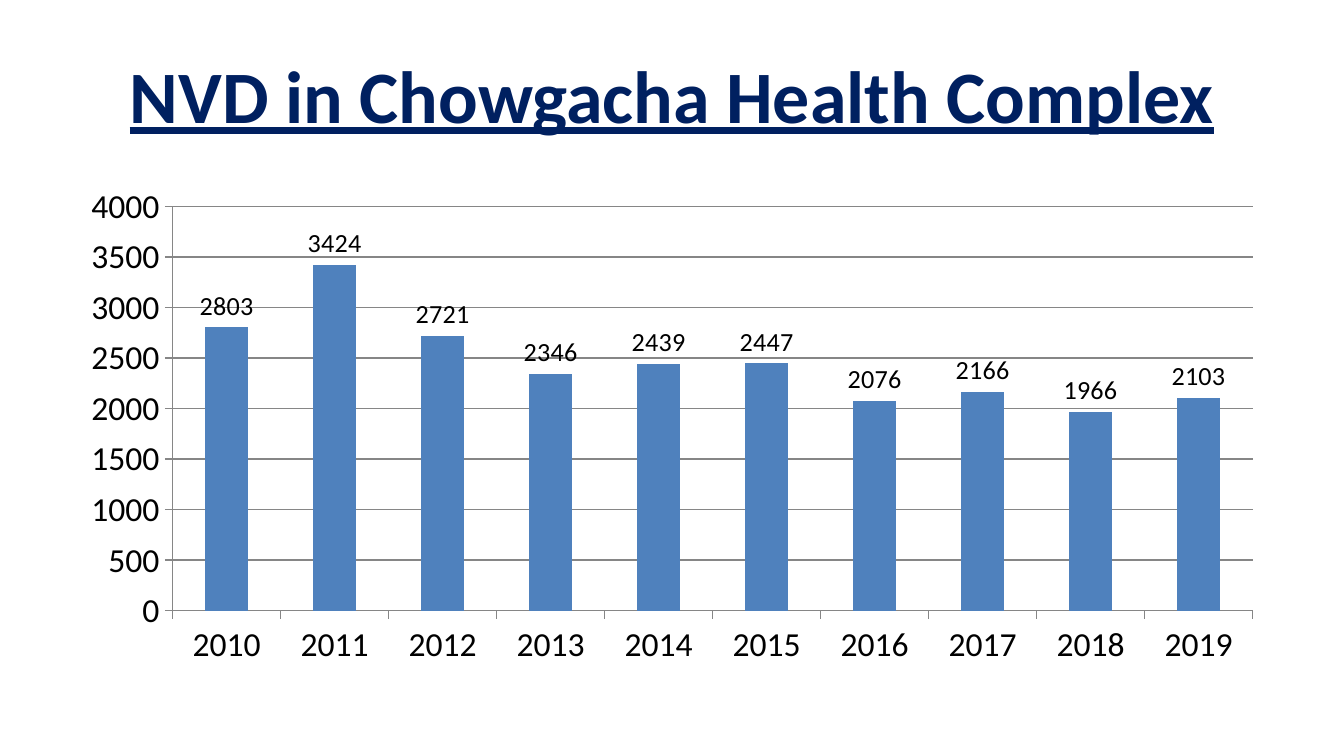
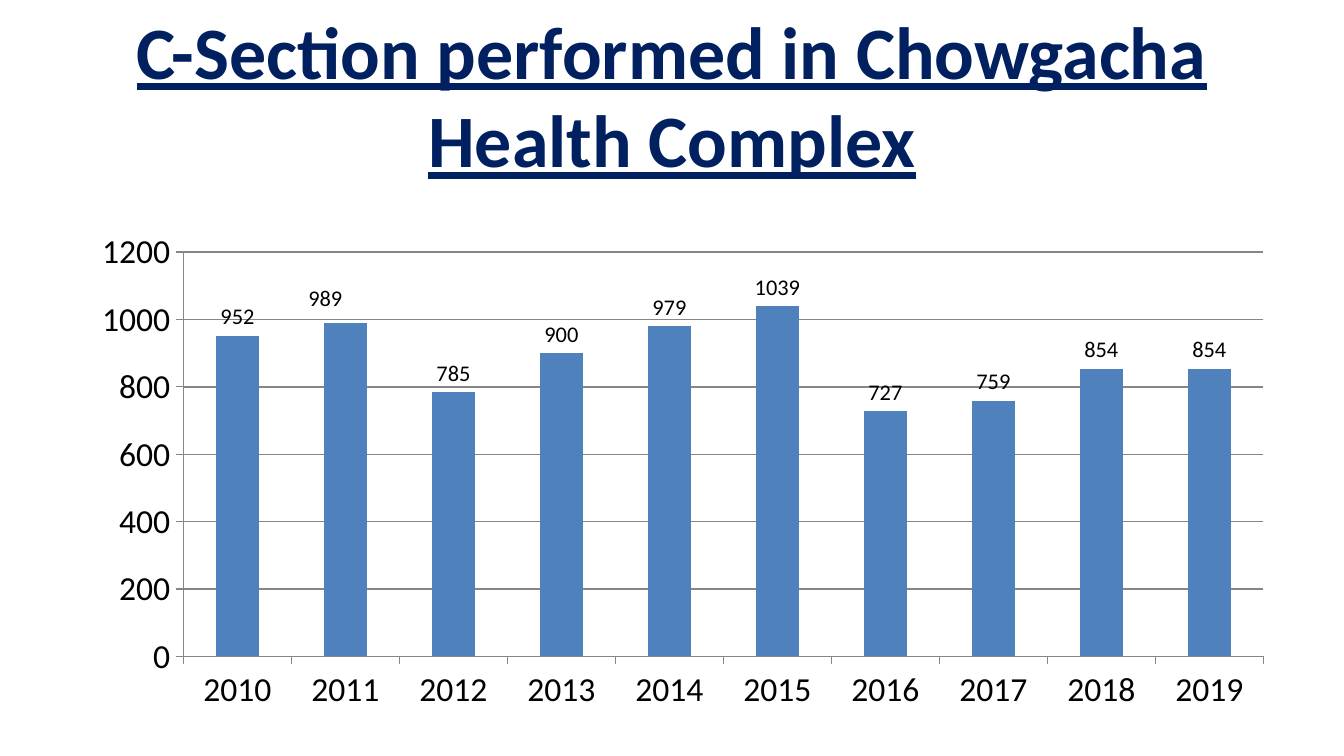
from lxml.etree import SubElement
from pptx import Presentation
from pptx.chart.data import CategoryChartData
from pptx.dml.color import RGBColor
from pptx.enum.chart import XL_CHART_TYPE, XL_LABEL_POSITION, XL_TICK_MARK
from pptx.enum.text import MSO_ANCHOR, PP_ALIGN
from pptx.oxml.ns import qn
from pptx.util import Inches, Pt

YEARS = [str(year) for year in range(2010, 2020)]
BIRTHS = [2803, 3424, 2721, 2346, 2439, 2447, 2076, 2166, 1966, 2103]
SECTIONS = [952, 989, 785, 900, 979, 1039, 727, 759, 854, 854]


def color(code):
    return RGBColor.from_string(code)


class Deck:
    FONT = "Calibri"
    NAVY, BLUE, GRAY, BLACK = "002060", "4F81BD", "868686", "000000"
    WIDTH, HEIGHT = 9, 3.71  # chart size in inches

    def __init__(self):
        self.show = Presentation()
        self.show.slide_width = Inches(10)
        self.show.slide_height = Inches(10 * 9 / 16)
        self.slide = None

    def add_slide(self):
        self.slide = self.show.slides.add_slide(self.show.slide_layouts[6])

    def style(self, font, size, code):
        font.name = self.FONT
        font.size = Pt(size)
        font.color.rgb = color(code)

    def title(self, text):
        box = self.slide.shapes.add_textbox(
            Inches(0.5), Inches(0.23), Inches(9), Inches(0.94))
        frame = box.text_frame
        frame.word_wrap = True
        frame.vertical_anchor = MSO_ANCHOR.MIDDLE
        para = frame.paragraphs[0]
        para.alignment = PP_ALIGN.CENTER
        run = para.add_run()
        run.text = text
        self.style(run.font, 39.6, self.NAVY)
        run.font.bold = True
        run.font.underline = True

    def axis(self, axis):
        axis.major_tick_mark = XL_TICK_MARK.OUTSIDE
        axis.minor_tick_mark = XL_TICK_MARK.NONE
        axis.format.line.color.rgb = color(self.GRAY)

    def columns(self, left, top, values, step, peak, size):
        """Draw yearly columns with value labels of the given size."""
        data = CategoryChartData()
        data.categories = YEARS
        data.add_series("Series 1", values)
        chart = self.slide.shapes.add_chart(
            XL_CHART_TYPE.COLUMN_CLUSTERED, Inches(left), Inches(top),
            Inches(self.WIDTH), Inches(self.HEIGHT), data).chart
        self.style(chart.font, 18, self.BLACK)
        chart.has_legend = False
        chart.has_title = False

        self.axis(chart.category_axis)
        scale = chart.value_axis
        self.axis(scale)
        scale.minimum_scale = 0
        scale.maximum_scale = peak
        scale.major_unit = step
        scale.has_major_gridlines = True
        scale.major_gridlines.format.line.color.rgb = color(self.GRAY)

        plot = chart.plots[0]
        plot.gap_width = 150
        plot.vary_by_categories = False
        series = plot.series[0]
        series.format.fill.solid()
        series.format.fill.fore_color.rgb = color(self.BLUE)
        labels = series.data_labels
        labels.show_value = True
        labels.position = XL_LABEL_POSITION.OUTSIDE_END
        self.style(labels.font, size, self.BLACK)
        return series

    def nudge(self, series, index, size, right, down):
        """Shift one value label by the given inches."""
        label = series.points[index].data_label
        self.style(label.font, size, self.BLACK)
        label.position = XL_LABEL_POSITION.OUTSIDE_END
        node = series.data_labels._element.find(qn("c:dLbl"))
        layout = SubElement(node, qn("c:layout"))
        node.find(qn("c:idx")).addnext(layout)
        manual = SubElement(layout, qn("c:manualLayout"))
        shifts = {"c:x": right / self.WIDTH, "c:y": down / self.HEIGHT}
        for tag, shift in shifts.items():
            SubElement(manual, qn(tag)).set("val", str(shift))


def main():
    deck = Deck()
    deck.add_slide()
    deck.title("NVD in Chowgacha Health Complex")
    deck.columns(0.5, 1.31, BIRTHS, 500, 4000, 14)

    deck.add_slide()
    deck.title("C-Section performed in Chowgacha Health Complex")
    series = deck.columns(0.58, 1.65, SECTIONS, 200, 1200, 12)
    deck.nudge(series, YEARS.index("2011"), 12, -0.15, -0.04)

    deck.show.save("out.pptx")


if __name__ == "__main__":
    main()
